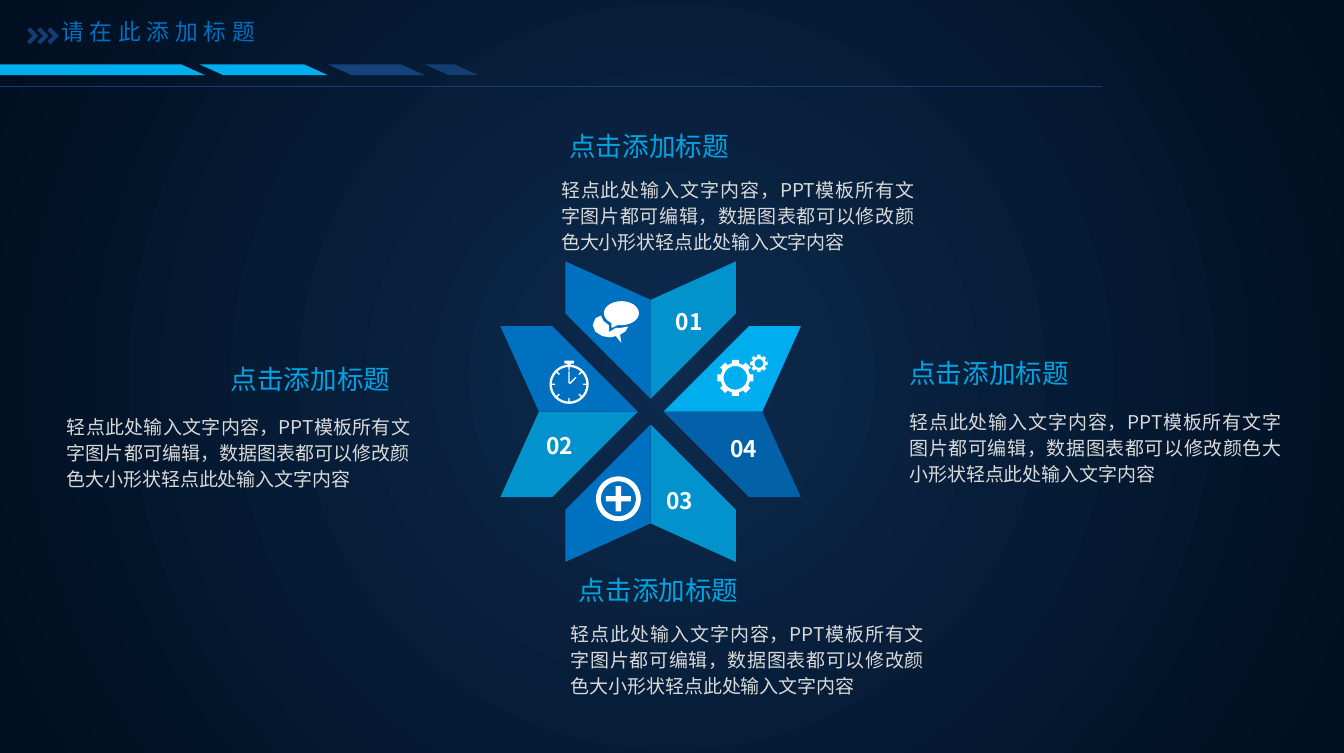
from math import asin, cos, radians, sin

from lxml import etree
from pptx import Presentation
from pptx.dml.color import RGBColor
from pptx.enum.shapes import MSO_CONNECTOR, MSO_SHAPE
from pptx.enum.text import MSO_ANCHOR, MSO_AUTO_SIZE, PP_ALIGN
from pptx.oxml.ns import qn
from pptx.util import Pt

LEFT, JUSTIFY = PP_ALIGN.LEFT, PP_ALIGN.JUSTIFY
TOP, GROW = MSO_ANCHOR.TOP, MSO_AUTO_SIZE.SHAPE_TO_FIT_TEXT
PARALLELOGRAM, STRAIGHT = MSO_SHAPE.PARALLELOGRAM, MSO_CONNECTOR.STRAIGHT

# Content
FONT = "Noto Sans CJK SC"
TITLE = "请在此添加标题"
HEADING = "点击添加标题"
BODY = "轻点此处输入文字内容，PPT模板所有文字图片都可编辑，数据图表都可以修改颜色大小形状轻点此处输入文字内容"
SKY, BLUE, NAVY, WHITE = "00AEEF", "0070C0", "133E73", "FFFFFF"

# Heading left, top; body left, top, width
TEXT_BLOCKS = [
    (293, 64.8, 288.7, 88.6, 200.2),
    (472.3, 184.3, 472.3, 211, 210.2),
    (114.5, 187.9, 28.1, 213.8, 195.1),
    (298.1, 298.8, 293.8, 322.6, 200.2),
]
# Direction, then colour and opacity of the half on each side of the axis
PETALS = [
    ((0, -1), (BLUE, 100), (SKY, 80)),
    ((-1, 0), (SKY, 80), (BLUE, 100)),
    ((0, 1), (SKY, 80), (BLUE, 100)),
    ((1, 0), (SKY, 100), (BLUE, 80)),
]
NUMBERS = [("01", 349.2, 158.4), ("02", 280.8, 223.9),
           ("03", 344.2, 252.7), ("04", 378, 225.4)]
# Left, width, colour of the header bars
BARS = [(-115.9, 223.9, SKY), (105.1, 67.7, SKY),
        (172.8, 51.1, "14427A"), (223.9, 28.1, NAVY)]
BACK_BUBBLE = [
    (316.8, 166.3), (313.9, 167.8), (312.5, 171.4), (313.9, 174.8),
    (317.5, 177.1), (321.8, 177.8), (324.7, 177.1), (327.6, 180.7),
    (326.9, 176.4), (329.8, 174.6), (331.2, 172.1), (326.9, 172.8),
    (324.7, 172.8), (321.1, 175), (321.1, 171.4), (318.2, 169.2)]

prs = Presentation()
prs.slide_width, prs.slide_height = Pt(708.5), Pt(396.75)
s = prs.slides.add_slide(prs.slide_layouts[5])


def rgb(value):
    return RGBColor.from_string(value)


def paint(sp, color, opacity=100):
    sp.shadow.inherit = False
    sp.fill.solid()
    sp.fill.fore_color.rgb = rgb(color)
    sp.line.fill.background()
    if opacity < 100:
        clr = sp.fill._xPr.find(".//" + qn("a:srgbClr"))
        etree.SubElement(clr, qn("a:alpha")).set("val", str(opacity * 1000))


def outline(contours, color, opacity=100):
    contours = [[(Pt(x), Pt(y)) for x, y in c] for c in contours]
    fb = s.shapes.build_freeform(*contours[0][0], scale=1.0)
    for i, c in enumerate(contours):
        if i:
            fb.move_to(*c[0])
        fb.add_line_segments(c[1:], close=True)
    paint(fb.convert_to_shape(), color, opacity)


def put_text(sp, text, size, color, bold=False, wrap=False, align=LEFT, spacing=None):
    tf = sp.text_frame
    tf.text = text
    tf.word_wrap, tf.auto_size, tf.vertical_anchor = wrap, GROW, TOP
    p = tf.paragraphs[0]
    p.alignment = align
    if spacing:
        p.line_spacing = spacing
    r = p.runs[0]
    r.font.size, r.font.bold, r.font.name = Pt(size), bold, FONT
    r.font.color.rgb = rgb(color)
    rPr = r._r.get_or_add_rPr()
    etree.SubElement(rPr, qn("a:ea")).set("typeface", FONT)
    return rPr


def add_text(x, y, w, h, *args, **kwargs):
    put_text(s.shapes.add_textbox(Pt(x), Pt(y), Pt(w), Pt(h)), *args, **kwargs)


def rect(x1, y1, x2, y2):
    return [(x1, y1), (x2, y1), (x2, y2), (x1, y2)]


def polar(cx, cy, radius, angle):
    return cx + radius * cos(angle), cy + radius * sin(angle)


def arc(cx, cy, rx, ry, start=0, end=354):
    return [(cx + rx * cos(radians(a)), cy + ry * sin(radians(a)))
            for a in range(start, end + 1, 6)]


def gear(cx, cy, hole, body, tip):
    half = 0.19 * tip
    points = []
    for k in range(8):
        for radius, side in ((body, -1), (tip, -1), (tip, 1), (body, 1)):
            angle = radians(45 * k) + side * asin(half / radius)
            points.append(polar(cx, cy, radius, angle))
    return [points, arc(cx, cy, hole, hole)]


def tick(cx, cy, angle, inner, outer, half=0.35):
    dx, dy = -half * sin(angle), half * cos(angle)
    (x1, y1), (x2, y2) = polar(cx, cy, inner, angle), polar(cx, cy, outer, angle)
    return [(x1 + dx, y1 + dy), (x2 + dx, y2 + dy), (x2 - dx, y2 - dy), (x1 - dx, y1 - dy)]


# Background: radial gradient
fill = s.background.fill
fill.gradient()
for stop, color, position in zip(fill.gradient_stops, ("0D2A4D", "000F21"), (0, 0.97)):
    stop.color.rgb, stop.position = rgb(color), position
grad = s._element.find(".//" + qn("a:gradFill"))
grad.remove(grad.find(qn("a:lin")))
radial = etree.SubElement(grad, qn("a:path"))
radial.set("path", "circle")
center = etree.SubElement(radial, qn("a:fillToRect"))
for side in "ltrb":
    center.set(side, "50000")

# Title and header
title = s.shapes.title
title.left, title.top, title.width, title.height = Pt(25.2), Pt(5.76), Pt(120.2), Pt(21.6)
put_text(title, TITLE, 12, BLUE).set("spc", "300")
for x, w, color in BARS:
    bar = s.shapes.add_shape(PARALLELOGRAM, Pt(x), Pt(33.9), Pt(w), Pt(5.7))
    bar.adjustments[0] = 2.208
    bar._element.spPr.find(qn("a:xfrm")).set("flipV", "1")
    paint(bar, color)
rule = s.shapes.add_connector(STRAIGHT, Pt(-31), Pt(45.4), Pt(581), Pt(45.4))
rule.line.color.rgb, rule.line.width = rgb(NAVY), Pt(0.5)
etree.SubElement(rule._element.spPr, qn("a:effectLst"))
for i in range(3):
    x = 14.3 + 5.4 * i
    outline([[(x, 16), (x + 1.5, 14.4), (x + 6, 18.9), (x + 1.5, 23.4),
              (x, 21.8), (x + 2.9, 18.9)]], NAVY)

# Text blocks
for hx, hy, bx, by, bw in TEXT_BLOCKS:
    add_text(hx, hy, 99.4, 24.5, HEADING, 14, "00A4E3")
    add_text(bx, by, bw, 49, BODY, 10, "D9D9D9", wrap=True, align=JUSTIFY, spacing=1.14)

# Petals: distances along and across the axis, turned to each direction
CX, CY = 343, 216.9
HALF = [(6.8, 0), (58.9, 0), (79.2, 45), (51.8, 45)]
for (dx, dy), *halves in PETALS:
    for side, (color, opacity) in zip((-1, 1), halves):
        outline([[(CX + a * dx - side * b * dy, CY + a * dy + side * b * dx)
                  for a, b in HALF]], color, opacity)
for number, x, y in NUMBERS:
    add_text(x, y, 29.5, 21.6, number, 12, WHITE, bold=True)

# Speech bubbles
outline([BACK_BUBBLE], WHITE)
outline([arc(327.6, 165, 9.2, 6.3, 125, 465) + [(322.4, 172.8)]], WHITE)

# Stopwatch
wx, wy = 300, 202.5
outline([arc(wx, wy, 10.3, 10.3), arc(wx, wy, 9.1, 9.1),
         rect(wx - 2.5, 190, wx + 2.5, 191.7), rect(wx - 0.9, 191.7, wx + 0.9, 192.2),
         tick(wx, wy, radians(-90), 0.5, 6.8), tick(wx, wy, radians(-45), 0.5, 5.2)]
        + [tick(wx, wy, radians(45 * k), 7.3, 9.1) for k in range(8)], WHITE)

# Plus in a ring
px, py, arm, bar_half = 326, 262.8, 6.6, 1.4
outline([arc(px, py, 11.8, 11.8), arc(px, py, 9.2, 9.2)], WHITE)
outline([[(px + sx * x, py + sy * y) for sx, sy, pts in (
    (1, -1, [(bar_half, arm), (bar_half, bar_half), (arm, bar_half)]),
    (1, 1, [(arm, bar_half), (bar_half, bar_half), (bar_half, arm)]),
    (-1, 1, [(bar_half, arm), (bar_half, bar_half), (arm, bar_half)]),
    (-1, -1, [(arm, bar_half), (bar_half, bar_half), (bar_half, arm)]))
    for x, y in pts]], WHITE)

# Gears
outline(gear(387.7, 199.1, 6.2, 7.9, 9.7), WHITE)
outline(gear(400.1, 191.5, 2.3, 3.6, 4.7), WHITE)

prs.save("out.pptx")
